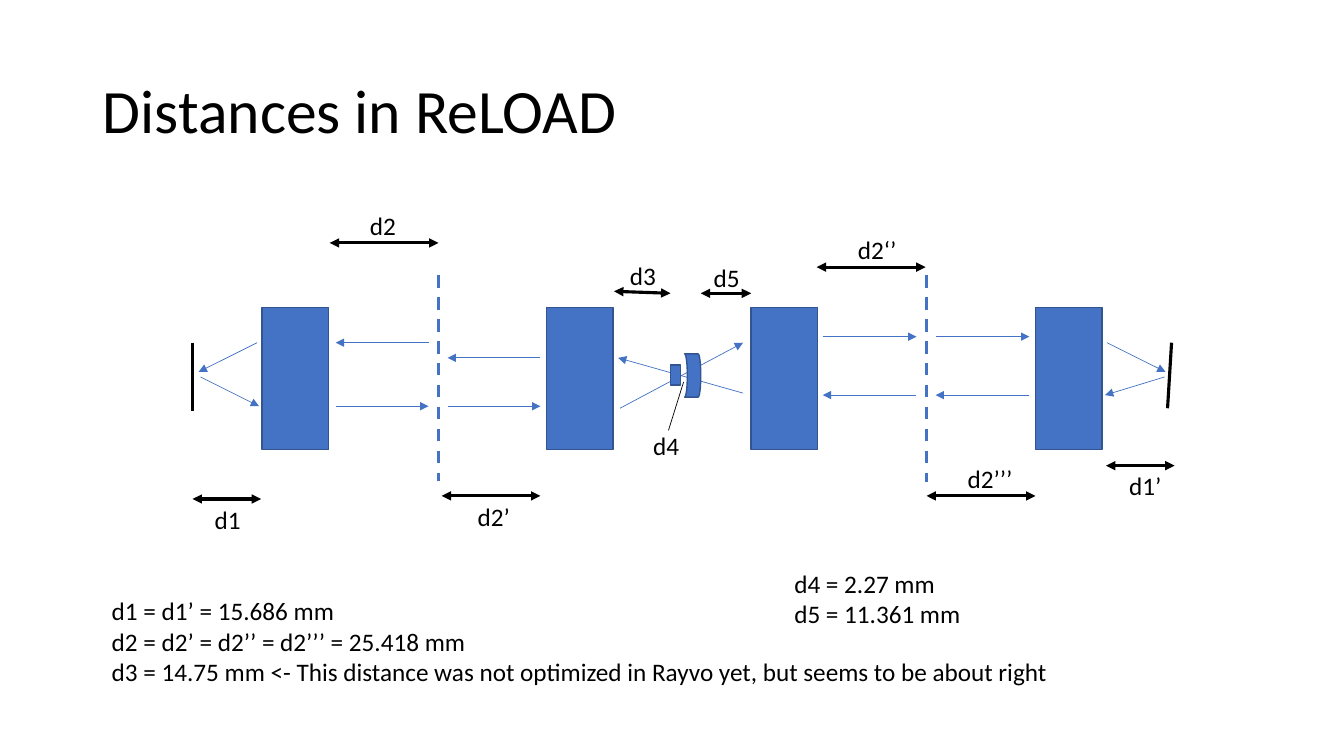
from lxml import etree
from pptx import Presentation
from pptx.dml.color import RGBColor
from pptx.enum.dml import MSO_LINE
from pptx.enum.shapes import MSO_CONNECTOR, MSO_SHAPE
from pptx.enum.text import MSO_ANCHOR, MSO_AUTO_SIZE, PP_ALIGN
from pptx.oxml.ns import qn
from pptx.util import Inches, Pt

COLORS = {"ink": "000000", "blue": "4472C4", "edge": "325491"}

# Diagram coordinates are inches from the corner of the diagram's box.
BLOCK_LEFTS = (0.69, 3.51, 5.54, 8.36)
MIRRORS = ((0, 1.4, 0, 2.08), (9.71, 1.4, 9.67, 2.05))
PLANES = ((2.44, 0.73, 2.44, 2.77), (7.28, 0.73, 7.28, 2.78))
RAYS = (
    (2.34, 1.4, 1.42, 1.4),
    (0.64, 1.4, 0.06, 1.69),
    (0.08, 1.74, 0.66, 2.03),
    (1.42, 2.03, 2.34, 2.03),
    (2.53, 2.03, 3.45, 2.03),
    (4.24, 2.05, 5.46, 1.4),
    (6.25, 1.34, 7.18, 1.34),
    (7.37, 1.34, 8.3, 1.34),
    (9.07, 1.4, 9.65, 1.69),
    (9.64, 1.74, 9.05, 1.92),
    (8.3, 1.92, 7.37, 1.92),
    (7.18, 1.92, 6.25, 1.92),
    (5.46, 1.9, 4.22, 1.55),
    (3.45, 1.55, 2.53, 1.55),
)
# label, arrow ends, label corner
DISTANCES = (
    ("d2", (1.36, 0.41, 2.44, 0.41), (1.66, 0.04)),
    ("d1", (0, 2.95, 0.68, 2.95), (0.12, 2.95)),
    ("d2’", (2.47, 2.92, 3.45, 2.92), (2.73, 2.92)),
    ("d3", (4.18, 0.89, 4.74, 0.91), (4.24, 0.53)),
    ("d5", (5.04, 0.91, 5.54, 0.91), (5.07, 0.55)),
    ("d2‘’", (6.19, 0.65, 7.27, 0.65), (6.5, 0.28)),
    ("d2’’’", (7.28, 2.92, 8.36, 2.92), (7.59, 2.55)),
    ("d1’", (9.06, 2.62, 9.74, 2.62), (9.19, 2.62)),
)


def rgb(name):
    return RGBColor.from_string(COLORS[name])


def style_runs(p, size):
    for r in p.runs:
        for key, value in {"name": "Calibri", "size": Pt(size)}.items():
            setattr(r.font, key, value)
        r.font.color.rgb = rgb("ink")


def add_text(s, text, x, y, w, h, wrap=False):
    tf = s.shapes.add_textbox(*map(Inches, (x, y, w, h))).text_frame
    tf.word_wrap = wrap
    tf.auto_size = MSO_AUTO_SIZE.SHAPE_TO_FIT_TEXT
    p = tf.paragraphs[0]
    p.text = text.replace("\n", "\v")
    style_runs(p, 18)


def add_line(s, origin, ends, color, width, arrows=(), dashed=False):
    """Draw a line; arrows names its arrow ends, headEnd before tailEnd."""
    x, y = origin
    x1, y1, x2, y2 = ends
    line = s.shapes.add_connector(
        MSO_CONNECTOR.STRAIGHT, *map(Inches, (x + x1, y + y1, x + x2, y + y2)))
    line.line.color.rgb = rgb(color)
    line.line.width = Pt(width)
    if dashed:
        line.line.dash_style = MSO_LINE.DASH
    for end in arrows:
        etree.SubElement(line.line._get_or_add_ln(), qn(f"a:{end}"), type="triangle")
    etree.SubElement(line._element.spPr, qn("a:effectLst"))


def add_part(s, kind, x, y, w, h, rotation=0):
    sp = s.shapes.add_shape(kind, *map(Inches, (x, y, w, h)))
    sp.rotation = rotation
    sp.shadow.inherit = False
    sp.fill.solid()
    sp.fill.fore_color.rgb = rgb("blue")
    sp.line.color.rgb = rgb("edge")
    sp.line.width = Pt(1)


def add_title(s, x, y, w, h):
    title = s.shapes.title
    for key, value in {"left": x, "top": y, "width": w, "height": h}.items():
        setattr(title, key, Inches(value))
    tf = title.text_frame
    tf.text = "Distances in ReLOAD"
    tf.vertical_anchor = MSO_ANCHOR.MIDDLE
    p = tf.paragraphs[0]
    p.alignment = PP_ALIGN.LEFT
    p.line_spacing = 0.9
    style_runs(p, 44)


def add_optics(s, x, y):
    for left in BLOCK_LEFTS:
        add_part(s, MSO_SHAPE.RECTANGLE, x + left, y + 1.05, 0.66, 1.41)
    for ends in MIRRORS:
        add_line(s, (x, y), ends, "ink", 2.25)
    for ends in PLANES:
        add_line(s, (x, y), ends, "blue", 2.25, dashed=True)
    for ends in RAYS:
        add_line(s, (x, y), ends, "blue", 0.5, ("tailEnd",))
    add_part(s, MSO_SHAPE.RECTANGLE, x + 4.74, y + 1.62, 0.1, 0.2)
    add_part(s, MSO_SHAPE.FLOWCHART_STORED_DATA, x + 4.88, y + 1.51, 0.16, 0.43, 180)


def add_distances(s, x, y):
    def add_label(text, left, top):
        add_text(s, text, x + left, y + top, 0.33 + 0.065 * len(text), 0.4)

    for text, ends, corner in DISTANCES:
        add_line(s, (x, y), ends, "ink", 2.25, ("headEnd", "tailEnd"))
        add_label(text, *corner)
    add_line(s, (x, y), (4.87, 1.79, 4.72, 2.27), "ink", 0.5)
    add_label("d4", 4.47, 2.22)


def add_values(s, x, y):
    add_text(s, "d1 = d1’ = 15.686 mm\n"
             "d2 = d2’ = d2’’ = d2’’’ = 25.418 mm\n"
             "d3 = 14.75 mm <- This distance was not optimized in Rayvo yet, "
             "but seems to be about right", x, y + 0.27, 9.57, 1.01)
    add_text(s, "d4 = 2.27 mm\nd5 = 11.361 mm", x + 6.77, y, 5.14, 0.7, wrap=True)


def main():
    prs = Presentation()
    prs.slide_width, prs.slide_height = Inches(13.33), Inches(7.5)
    s = prs.slides.add_slide(prs.slide_layouts[5])
    add_title(s, 0.92, 0.4, 11.5, 1.45)
    add_optics(s, 1.91, 2)
    add_distances(s, 1.91, 2)
    add_values(s, 1.01, 5.59)
    prs.save("out.pptx")


if __name__ == "__main__":
    main()
